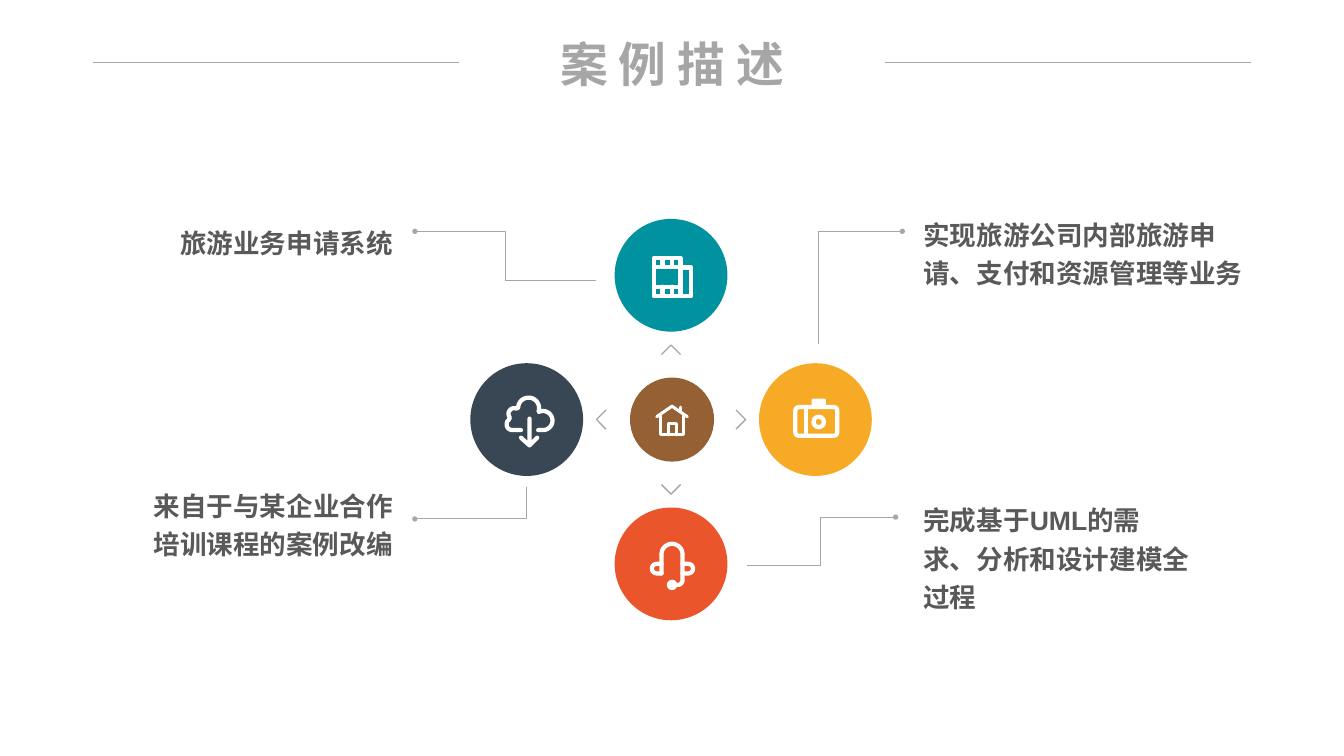
from dataclasses import dataclass
from math import cos, radians, sin

from lxml.etree import SubElement
from pptx import Presentation
from pptx.dml.color import RGBColor
from pptx.enum.shapes import MSO_CONNECTOR, MSO_SHAPE
from pptx.enum.text import MSO_ANCHOR, MSO_AUTO_SIZE, PP_ALIGN
from pptx.oxml.ns import qn
from pptx.util import Inches, Pt


@dataclass(frozen=True)
class Theme:
    font: str = "Arial"
    title_size: int = 36
    caption_size: int = 20
    gray: str = "A6A6A6"
    text: str = "595959"
    white: str = "FFFFFF"
    teal: str = "00939F"
    brown: str = "956134"
    amber: str = "F6AA26"
    navy: str = "394754"
    orange: str = "EA552B"
    title_rule: float = 0.5
    leader: float = 0.75
    chevron: float = 1
    icon: float = 3.2
    fine_icon: float = 2.3


def write_text(box, text, size, color, font, align=PP_ALIGN.LEFT,
               anchor=MSO_ANCHOR.TOP, spacing=None):
    frame = box.text_frame
    frame.word_wrap = True
    frame.auto_size = MSO_AUTO_SIZE.SHAPE_TO_FIT_TEXT
    frame.vertical_anchor = anchor
    frame.margin_left = frame.margin_right = 0
    frame.margin_top = frame.margin_bottom = 0
    para = frame.paragraphs[0]
    para.alignment = align
    para.line_spacing = spacing
    para._p.get_or_add_pPr().set("hangingPunct", "0")
    span = para.add_run()
    span.text = text
    span.font.name = font
    span.font.size = Pt(size)
    span.font.bold = True
    span.font.color.rgb = RGBColor.from_string(color)


def arc(x, y, radius, start, end):
    steps = 16
    angles = [radians(start + (end - start) * i / steps) for i in range(steps + 1)]
    return [(x + radius * cos(a), y + radius * sin(a)) for a in angles]


class SlideBuilder:
    def __init__(self, page, theme):
        self.page = page
        self.shapes = page.shapes
        self.theme = theme

    def title(self, text, left, top, width, height):
        box = self.shapes.title
        box.left, box.top = Inches(left), Inches(top)
        box.width, box.height = Inches(width), Inches(height)
        write_text(box, text, self.theme.title_size, self.theme.gray, self.theme.font,
                   align=PP_ALIGN.CENTER, anchor=MSO_ANCHOR.MIDDLE)

    def caption(self, text, left, top, width, height, align):
        box = self.shapes.add_textbox(Inches(left), Inches(top), Inches(width), Inches(height))
        write_text(box, text, self.theme.caption_size, self.theme.text, self.theme.font,
                   align=align, spacing=1.2)

    def outline(self, shape, color, width):
        shape.shadow.inherit = False
        shape.fill.background()
        shape.line.color.rgb = RGBColor.from_string(color)
        shape.line.width = Pt(width)

    def filled(self, kind, left, top, width, height, color):
        shape = self.shapes.add_shape(kind, Inches(left), Inches(top), Inches(width), Inches(height))
        shape.shadow.inherit = False
        shape.fill.solid()
        shape.fill.fore_color.rgb = RGBColor.from_string(color)
        shape.line.fill.background()

    def disk(self, x, y, size, color):
        self.filled(MSO_SHAPE.OVAL, x - size / 2, y - size / 2, size, size, color)

    def ring(self, kind, left, top, width, height):
        shape = self.shapes.add_shape(kind, Inches(left), Inches(top), Inches(width), Inches(height))
        self.outline(shape, self.theme.white, self.theme.icon)
        return shape

    def polyline(self, points, color, width, dot=False, rounded=False):
        spots = [(Inches(x), Inches(y)) for x, y in points]
        builder = self.shapes.build_freeform(*spots[0])
        builder.add_line_segments(spots[1:], close=False)
        shape = builder.convert_to_shape()
        self.outline(shape, color, width)
        line = shape._element.spPr.find(qn("a:ln"))
        if rounded:
            line.set("cap", "rnd")
            SubElement(line, qn("a:round"))
        if dot:
            SubElement(line, qn("a:tailEnd"), type="oval", w="sm", len="sm")

    def icon(self, strokes, width):
        for points in strokes:
            self.polyline(points, self.theme.white, width, rounded=True)

    def rule(self, left, right, y):
        line = self.shapes.add_connector(
            MSO_CONNECTOR.STRAIGHT, Inches(left), Inches(y), Inches(right), Inches(y))
        line.line.color.rgb = RGBColor.from_string(self.theme.gray)
        line.line.width = Pt(self.theme.title_rule)
        SubElement(line._element.spPr, qn("a:effectLst"))


CENTER_X, CENTER_Y = 7.02, 4.39
ORBIT = 1.51
CHEVRON_BASE, CHEVRON_TIP, CHEVRON_HALF = 0.68, 0.78, 0.1

LEADERS = [
    [(6.23, 2.93), (5.29, 2.93), (5.29, 2.42), (4.34, 2.42)],
    [(8.56, 3.6), (8.56, 2.42), (9.44, 2.42)],
    [(7.81, 5.92), (8.58, 5.92), (8.58, 5.41), (9.37, 5.41)],
    [(5.51, 5.1), (5.51, 5.43), (4.34, 5.43)],
]

CAPTIONS = [
    ("实现旅游公司内部旅游申请、支付和资源管理等业务", 9.66, 2.22, 3.43, 0.81, PP_ALIGN.LEFT),
    ("完成基于UML的需求、分析和设计建模全过程", 9.66, 5.21, 2.8, 0.81, PP_ALIGN.LEFT),
    ("来自于与某企业合作培训课程的案例改编", 1.36, 5.06, 2.75, 0.77, PP_ALIGN.RIGHT),
    ("旅游业务申请系统", 1.36, 2.31, 2.75, 0.37, PP_ALIGN.RIGHT),
]

FILM = [
    [(6.84, 2.7), (7.12, 2.7), (7.12, 3.1), (6.84, 3.1), (6.84, 2.7)],
    [(7.12, 2.8), (7.23, 2.8), (7.23, 3.1), (7.12, 3.1)],
    *[[(6.84, y), (7.12, y)] for y in (2.79, 3.0)],
    *[[(x, y), (x, y + 0.09)] for x in (6.93, 7.03) for y in (2.7, 3.0)],
]
CLOUD = [
    [(5.45, 4.5), *arc(5.36, 4.44, 0.06, 90, 230), *arc(5.38, 4.33, 0.06, 140, 290),
     *arc(5.53, 4.27, 0.11, 180, 380), *arc(5.68, 4.4, 0.1, 245, 450), (5.63, 4.5)],
    [(5.54, 4.38), (5.54, 4.66), (5.45, 4.58), (5.54, 4.66), (5.62, 4.58)],
]
HEADSET = [
    [(6.92, 6), *arc(6.87, 5.95, 0.05, 90, 270), (6.92, 5.9)],
    [(6.92, 6), *arc(7.03, 5.8, 0.11, 180, 360), *arc(7.09, 6.07, 0.05, 0, 90)],
    [(7.14, 5.9), *arc(7.2, 5.95, 0.05, 270, 450), (7.14, 6)],
]
HOUSE = [
    [(6.87, 4.36), (7.03, 4.25), (7.19, 4.36)],
    [(6.91, 4.35), (6.91, 4.55), (7.15, 4.55), (7.15, 4.35)],
    [(6.99, 4.55), (6.99, 4.43), (7.08, 4.43), (7.08, 4.55)],
    [(7.12, 4.26), (7.12, 4.31)],
]


def main():
    deck = Presentation()
    deck.slide_width, deck.slide_height = Inches(14.06), Inches(7.91)
    theme = Theme()
    slide = SlideBuilder(deck.slides.add_slide(deck.slide_layouts[5]), theme)

    slide.title("案 例 描 述", 4.87, 0.36, 4.32, 0.61)
    for left in (0.97, 9.26):
        slide.rule(left, left + 3.83, 0.65)

    slide.disk(7.03, CENTER_Y, 0.88, theme.brown)
    directions = [(0, -1, theme.teal), (1, 0, theme.amber),
                  (0, 1, theme.orange), (-1, 0, theme.navy)]
    for dx, dy, color in directions:
        slide.disk(CENTER_X + dx * ORBIT, CENTER_Y + dy * ORBIT, 1.18, color)
        reach = [(CHEVRON_BASE, -CHEVRON_HALF), (CHEVRON_TIP, 0), (CHEVRON_BASE, CHEVRON_HALF)]
        chevron = [(CENTER_X + dx * out - dy * side, CENTER_Y + dy * out + dx * side)
                   for out, side in reach]
        slide.polyline(chevron, theme.gray, theme.chevron)

    for leader in LEADERS:
        slide.polyline(leader, theme.gray, theme.leader, dot=True)
    for caption in CAPTIONS:
        slide.caption(*caption)

    for strokes in (FILM, CLOUD, HEADSET):
        slide.icon(strokes, theme.icon)
    slide.icon(HOUSE, theme.fine_icon)
    slide.disk(7.03, 6.12, 0.11, theme.white)

    body = slide.ring(MSO_SHAPE.ROUNDED_RECTANGLE, 8.32, 4.26, 0.44, 0.3)
    body.adjustments[0] = 0.12
    slide.ring(MSO_SHAPE.OVAL, 8.51, 4.36, 0.11, 0.11)
    slide.icon([[(8.43, 4.26), (8.43, 4.56)]], theme.icon)
    slide.filled(MSO_SHAPE.ROUNDED_RECTANGLE, 8.49, 4.17, 0.15, 0.1, theme.white)

    deck.save("out.pptx")


if __name__ == "__main__":
    main()
